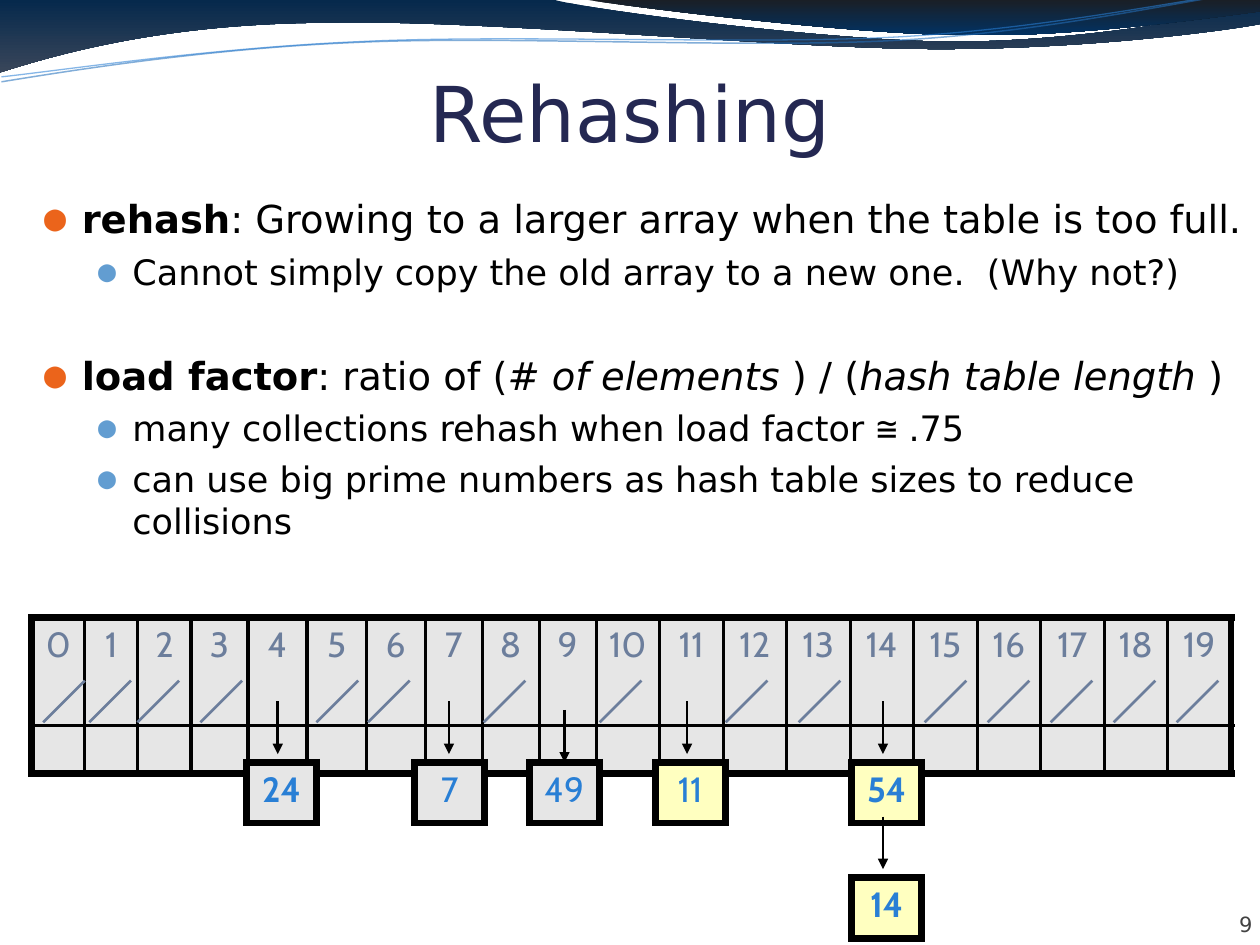
from lxml.etree import SubElement
from pptx import Presentation
from pptx.dml.color import RGBColor
from pptx.enum.shapes import MSO_CONNECTOR
from pptx.enum.text import MSO_ANCHOR, PP_ALIGN
from pptx.oxml.ns import qn
from pptx.util import Cm, Pt

SANS, MONO = "DejaVu Sans", "DejaVu Sans Mono"
GRAY, YELLOW, BLUE, SLATE, BLACK = "E6E6E6", "FFFFC0", "297FD5", "6C7E9C", "000000"
THICK, THIN = 4.48, 1.98

UPPER_BAND = [
    [(0, 0)], [(11.18, 0)],
    [(12.09, 0.23), (16.87, 0.84), (19.25, 0.84)],
    [(21.67, 0.84), (24.33, 0.36), (25.4, 0.13)],
    [(25.43, 0.48)],
    [(24.97, 0.58), (22.1, 0.99), (18.95, 0.99)],
    [(15.8, 0.99), (9.7, 0.38), (6.53, 0.46)],
    [(3.28, 0.48), (1.17, 1.09), (-0.03, 1.47)],
]
CORNER_BAND = [
    [(11.86, 0)],
    [(12.65, 0.13), (17.12, 0.69), (19.38, 0.71)],
    [(21.64, 0.76), (24.41, 0.36), (25.4, 0.23)],
    [(25.4, 0)],
]
LOWER_RIPPLE = [
    [(0.03, 1.65)],
    [(1.27, 1.45), (4.06, 0.99), (7.09, 0.86)],
    [(10.11, 0.71), (15.06, 0.99), (18.14, 0.81)],
    [(21.18, 0.64), (23.9, 0), (25.4, -0.2)],
]
UPPER_RIPPLE = [
    [(0.03, 1.55)],
    [(1.24, 1.42), (4.22, 0.97), (7.24, 0.84)],
    [(10.26, 0.69), (15.21, 0.91), (18.19, 0.74)],
    [(21.23, 0.56), (23.93, -0.03), (25.4, -0.2)],
]
BULLETS = [
    (0, 5, [("rehash", "bold"), (": Growing to a larger array when the table is too full.", "")]),
    (1, 5, [("Cannot simply copy the old array to a new one.  (Why not?)", "")]),
    (0, 34, [("load factor", "bold"), (": ratio of (", ""), ("# of elements ", "italic"),
             (") / (", ""), ("hash table length ", "italic"), (")", "")]),
    (1, 5, [("many collections rehash when load factor ", ""), ("≅", "mono"), (" .75", "")]),
    (1, 5, [("can use big prime numbers as hash table sizes to reduce collisions", "")]),
]
BULLET_LEVELS = [
    dict(size=22, left=0.76, hanging=0.76, color="EB641B", percent=95),
    dict(size=20, left=1.78, hanging=0.69, color="629DD1", percent=85),
]
COLUMN_WIDTHS = [1.07] * 3 + [1.15] + [1.19] * 3 + [1.15] * 3 + [1.28] * 10
SLASH_LEFTS = [0.87, 1.8, 2.77, 4.04, 6.38, 7.42, 9.75, 12.09, 14.63, 16.1] + [
    18.64 + 1.27 * step for step in range(5)]
NODES = [
    ("54", 17.17, 15.37, YELLOW, True, 17.8, 14.14),
    ("14", 17.17, 17.69, YELLOW, True, 17.8, 16.46),
    ("24", 4.97, 15.37, GRAY, True, 5.6, 14.14),
    ("11", 13.21, 15.37, YELLOW, False, 13.85, 14.14),
    ("7", 8.36, 15.37, GRAY, False, 9.05, 14.14),
    ("49", 10.67, 15.37, GRAY, False, 11.38, 14.31),
]


def rgb(value):
    return RGBColor.from_string(value)


def write(paragraph, text, size, color=BLACK, font=SANS, bold=False, italic=False, align=None):
    run = paragraph.add_run()
    run.text = text
    run.font.size, run.font.name = Pt(size), font
    run.font.bold, run.font.italic = bold, italic
    run.font.color.rgb = rgb(color)
    if align is not None:
        paragraph.alignment = align


def add_text_box(slide, left, top, width, height, anchor=MSO_ANCHOR.TOP, margins=None):
    frame = slide.shapes.add_textbox(Cm(left), Cm(top), Cm(width), Cm(height)).text_frame
    frame.word_wrap = True
    frame.vertical_anchor = anchor
    if margins:
        frame.margin_left, frame.margin_top, frame.margin_right, frame.margin_bottom = map(Cm, margins)
    return frame


def add_wave(slide, segments, closed):
    anchors = [tuple(map(Cm, segment[-1])) for segment in segments]
    builder = slide.shapes.build_freeform(*anchors[0])
    builder.add_line_segments(anchors[1:], close=closed)
    shape = builder.convert_to_shape()
    shape.shadow.inherit = False
    lines = list(shape._element.spPr.iter(qn("a:lnTo")))
    for line, segment in zip(lines, segments[1:]):
        if len(segment) == 3:
            line.tag = qn("a:cubicBezTo")
            line.clear()
            for x, y in segment:
                SubElement(line, qn("a:pt"), x=str(Cm(x) - shape.left), y=str(Cm(y) - shape.top))
    return shape


def add_band(slide, segments, colors):
    shape = add_wave(slide, segments, True)
    shape.line.fill.background()
    shape.fill.gradient()
    shape.fill.gradient_angle = 270
    for stop, color, position in zip(shape.fill.gradient_stops, colors, (0, 1)):
        stop.color.rgb, stop.position = rgb(color), position


def add_ripple(slide, segments, color, width):
    shape = add_wave(slide, segments, False)
    shape.fill.background()
    shape.line.color.rgb, shape.line.width = rgb(color), Pt(width)
    SubElement(shape.line._ln.find(".//" + qn("a:srgbClr")), qn("a:alpha"), val="56000")


def add_bullets(slide):
    frame = add_text_box(slide, 0.64, 3.81, 24.76, 14.4)
    for index, (level, space, runs) in enumerate(BULLETS):
        paragraph = frame.add_paragraph() if index else frame.paragraphs[0]
        style = BULLET_LEVELS[level]
        paragraph.level, paragraph.space_before = level, Pt(space)
        properties = paragraph._p.get_or_add_pPr()
        properties.set("marL", str(Cm(style["left"])))
        properties.set("indent", str(-Cm(style["hanging"])))
        SubElement(SubElement(properties, qn("a:buClr")), qn("a:srgbClr"), val=style["color"])
        SubElement(properties, qn("a:buSzPct"), val=str(style["percent"] * 1000))
        SubElement(properties, qn("a:buFont"), typeface=MONO)
        SubElement(properties, qn("a:buChar"), char="●")
        for text, kind in runs:
            write(paragraph, text, style["size"], bold=kind == "bold", italic=kind == "italic",
                  font=MONO if kind == "mono" else SANS)


def add_grid(slide, left, top, widths, heights, labels, fill, color, bold=False):
    table = slide.shapes.add_table(len(heights), len(widths), Cm(left), Cm(top),
                                   Cm(sum(widths)), Cm(sum(heights))).table
    for column, width in zip(table.columns, widths):
        column.width = Cm(width)
    for row, height in zip(table.rows, heights):
        row.height = Cm(height)
    last_row, last_column = len(heights) - 1, len(widths) - 1
    for r in range(len(heights)):
        for c in range(len(widths)):
            cell = table.cell(r, c)
            cell.margin_left = cell.margin_right = Cm(0.1)
            if r == 0:
                write(cell.text_frame.paragraphs[0], labels[c], 20, color=color,
                      font="Cabin", bold=bold, align=PP_ALIGN.CENTER)
            else:
                cell.margin_top = cell.margin_bottom = 0
            outer = {"a:lnL": c == 0, "a:lnR": c == last_column, "a:lnT": r == 0, "a:lnB": r == last_row}
            for tag, is_outer in outer.items():
                border = SubElement(cell._tc.get_or_add_tcPr(), qn(tag),
                                    w=str(Pt(THICK if is_outer else THIN)))
                SubElement(SubElement(border, qn("a:solidFill")), qn("a:srgbClr"), val=BLACK)
            cell.fill.solid()
            cell.fill.fore_color.rgb = rgb(fill)


def add_line(slide, start, end, color, arrow=False):
    connector = slide.shapes.add_connector(MSO_CONNECTOR.STRAIGHT, *map(Cm, start + end))
    connector.line.color.rgb, connector.line.width = rgb(color), Pt(1.5)
    if arrow:
        SubElement(connector.line._ln, qn("a:tailEnd"), type="triangle")
    SubElement(connector._element.spPr, qn("a:effectLst"))


def main():
    presentation = Presentation()
    presentation.slide_width, presentation.slide_height = Cm(25.4), Cm(19.05)
    slide = presentation.slides.add_slide(presentation.slide_layouts[6])
    add_band(slide, UPPER_BAND, ("06294C", "39465A"))
    add_band(slide, CORNER_BAND, ("1A1F26", "023262"))
    add_ripple(slide, LOWER_RIPPLE, "236FBB", 0.85)
    add_ripple(slide, UPPER_RIPPLE, BLUE, 0.75)
    number = add_text_box(slide, 23.14, 17.86, 2.11, 1.02, MSO_ANCHOR.BOTTOM, (0, 0, 0, 0))
    write(number.paragraphs[0], "9", 12, color="424242", align=PP_ALIGN.RIGHT)
    title = add_text_box(slide, 1.27, 1.22, 22.86, 1.96, MSO_ANCHOR.BOTTOM, (0, 0.13, 0, 0))
    write(title.paragraphs[0], "Rehashing", 44, color="242852", align=PP_ALIGN.CENTER)
    add_bullets(slide)
    add_grid(slide, 0.64, 12.45, COLUMN_WIDTHS, [2.18, 0.97], [str(n) for n in range(20)], GRAY, SLATE)
    for label, left, top, fill, bold, arrow_x, arrow_top in NODES:
        add_grid(slide, left, top, [1.41], [1.22], [label], fill, BLUE, bold)
        add_line(slide, (arrow_x, arrow_top), (arrow_x, arrow_top + 1.06), BLACK, arrow=True)
    for left in SLASH_LEFTS:
        add_line(slide, (left + 0.84, 13.72), (left, 14.56), SLATE)
    presentation.save("out.pptx")


if __name__ == "__main__":
    main()
